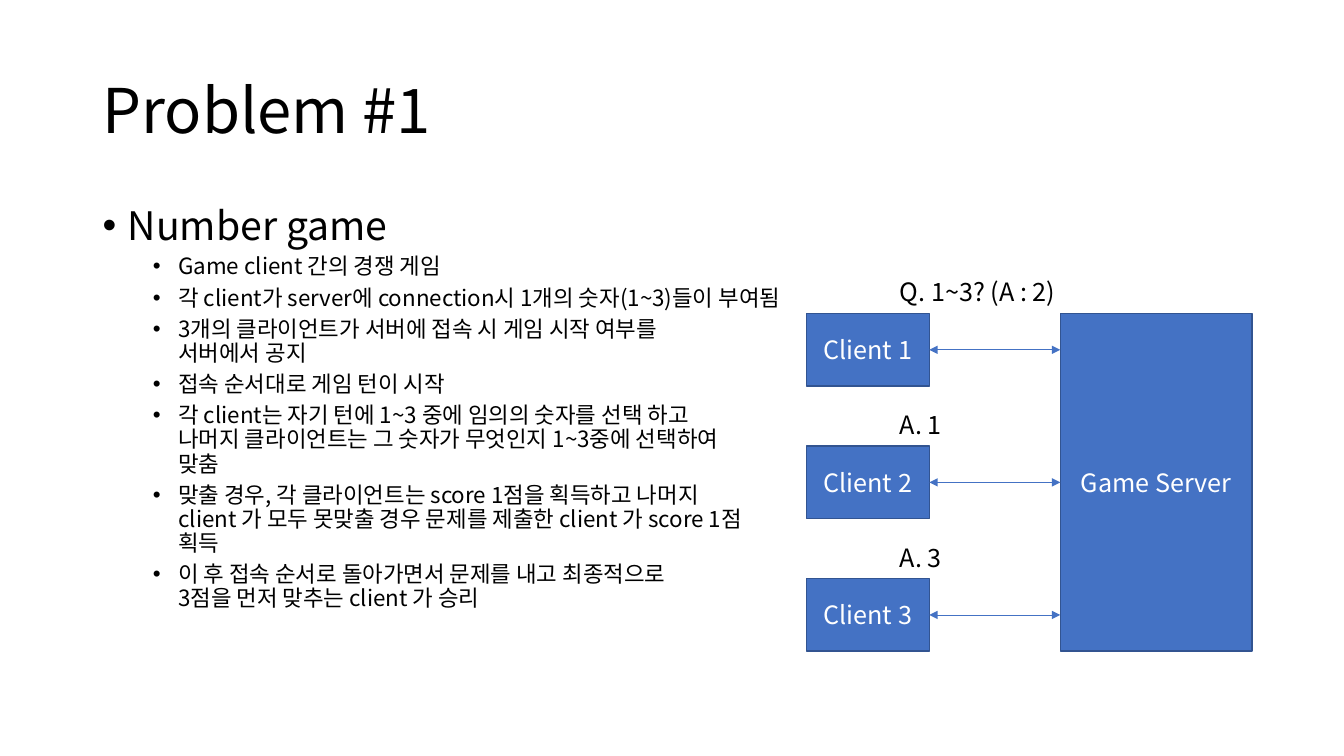
from copy import deepcopy

from lxml.etree import SubElement
from pptx import Presentation
from pptx.dml.color import RGBColor
from pptx.enum.shapes import MSO_CONNECTOR, MSO_SHAPE
from pptx.enum.text import MSO_ANCHOR, MSO_AUTO_SIZE, PP_ALIGN
from pptx.oxml.ns import qn
from pptx.util import Cm, Pt

TITLE = "Problem #1"
TOPIC = "Number game"
RULES = [
    "Game client 간의 경쟁 게임",
    "각 client가 server에 connection시 1개의 숫자(1~3)들이 부여됨",
    "3개의 클라이언트가 서버에 접속 시 게임 시작 여부를\n서버에서 공지",
    "접속 순서대로 게임 턴이 시작",
    "각 client는 자기 턴에 1~3 중에 임의의 숫자를 선택 하고\n"
    "나머지 클라이언트는 그 숫자가 무엇인지 1~3중에 선택하여\n맞춤",
    "맞출 경우, 각 클라이언트는 score 1점을 획득하고 나머지\n"
    "client 가 모두 못맞출 경우 문제를 제출한 client 가 score 1점\n획득",
    "이 후 접속 순서로 돌아가면서 문제를 내고 최종적으로\n3점을 먼저 맞추는 client 가 승리",
]
SERVER = "Game Server"
# client name, message, message box width in cm
CLIENTS = [
    ("Client 1", "Q. 1~3? (A : 2)", 4.78),
    ("Client 2", "A. 1", 1.65),
    ("Client 3", "A. 3", 1.65),
]

COLORS = {"text": "000000", "light": "FFFFFF", "box": "4472C4", "edge": "325491"}
FONT = "Noto Sans CJK KR"

# Diagram measures in cm
TOP, CLIENT_LEFT, SERVER_LEFT = 7.9, 20.32, 26.72
CLIENT_WIDTH, CLIENT_HEIGHT = 3.1, 1.83
SERVER_WIDTH, SERVER_HEIGHT = 4.83, 8.51
MESSAGE_LEFT, MESSAGE_RISE, MESSAGE_HEIGHT = 22.43, 1.05, 1.02
PITCH = (SERVER_HEIGHT - CLIENT_HEIGHT) / (len(CLIENTS) - 1)


def color(name):
    """Return the named colour."""
    return RGBColor.from_string(COLORS[name])


def apply(target, values):
    """Set every attribute in values on target."""
    for name, value in values.items():
        setattr(target, name, value)


def write(para, text, size, color_name="text", **values):
    """Write text, broken at newlines, and format its paragraph."""
    apply(para, values)
    for number, line in enumerate(text.split("\n")):
        if number:
            para.add_line_break()
        span = para.add_run()
        span.text = line
        apply(span.font, {"size": Pt(size), "name": FONT})
        span.font.color.rgb = color(color_name)
        properties = span.font._element
        SubElement(properties, qn("a:ea"), typeface=FONT)
    for line_break in para._p.findall(qn("a:br")):
        line_break.append(deepcopy(properties))


def add_bullet(para, left, hang):
    """Give a paragraph a round bullet with a hanging indent."""
    properties = para._p.get_or_add_pPr()
    properties.set("marL", str(Cm(left)))
    properties.set("indent", str(-Cm(hang)))
    SubElement(properties, qn("a:buFont"), typeface="Arial")
    SubElement(properties, qn("a:buChar"), char="•")


def place(box, left, top, width, height):
    """Move and size a placeholder, in cm."""
    apply(box, {"left": Cm(left), "top": Cm(top), "width": Cm(width), "height": Cm(height)})


def add_box(shapes, text, left, top, width, height):
    """Add a labelled rectangle."""
    box = shapes.add_shape(MSO_SHAPE.RECTANGLE, Cm(left), Cm(top), Cm(width), Cm(height))
    box.shadow.inherit = False
    box.fill.solid()
    box.fill.fore_color.rgb = color("box")
    box.line.color.rgb = color("edge")
    box.line.width = Pt(1)
    box.text_frame.vertical_anchor = MSO_ANCHOR.MIDDLE
    write(box.text_frame.paragraphs[0], text, 18, "light", alignment=PP_ALIGN.CENTER)


def add_link(shapes, start, end, height):
    """Add a level two-headed arrow."""
    link = shapes.add_connector(MSO_CONNECTOR.STRAIGHT, Cm(start), Cm(height), Cm(end), Cm(height))
    link.line.color.rgb = color("box")
    link.line.width = Pt(0.5)
    outline = link.line._get_or_add_ln()
    for tag in ("a:headEnd", "a:tailEnd"):
        SubElement(outline, qn(tag), type="triangle")
    SubElement(link._element.spPr, qn("a:effectLst"))


def add_message(shapes, text, top, width):
    """Add a one-line message above a client."""
    box = shapes.add_textbox(Cm(MESSAGE_LEFT), Cm(top), Cm(width), Cm(MESSAGE_HEIGHT))
    apply(box.text_frame, {"word_wrap": False, "auto_size": MSO_AUTO_SIZE.SHAPE_TO_FIT_TEXT})
    write(box.text_frame.paragraphs[0], text, 18)


deck = Presentation()
apply(deck, {"slide_width": Cm(33.87), "slide_height": Cm(19.05)})
page = deck.slides.add_slide(deck.slide_layouts[1])

title, body = page.shapes.title, page.placeholders[1]
place(title, 2.33, 1.01, 29.21, 3.68)
place(body, 2.33, 5.07, 29.21, 12.09)
for holder, anchor in ((title, MSO_ANCHOR.MIDDLE), (body, MSO_ANCHOR.TOP)):
    apply(holder.text_frame, {"word_wrap": True, "auto_size": MSO_AUTO_SIZE.NONE,
                              "vertical_anchor": anchor})
write(title.text_frame.paragraphs[0], TITLE, 44, alignment=PP_ALIGN.LEFT, line_spacing=0.9)

topic = body.text_frame.paragraphs[0]
write(topic, TOPIC, 28, line_spacing=0.9, space_before=Pt(10))
add_bullet(topic, 0.64, 0.64)
for rule in RULES:
    para = body.text_frame.add_paragraph()
    write(para, rule, 16, level=1, line_spacing=0.9, space_before=Pt(5))
    add_bullet(para, 1.91, 0.64)

diagram = page.shapes.add_group_shape().shapes
add_box(diagram, SERVER, SERVER_LEFT, TOP, SERVER_WIDTH, SERVER_HEIGHT)
for row, (client, message, message_width) in enumerate(CLIENTS):
    client_top = TOP + row * PITCH
    add_box(diagram, client, CLIENT_LEFT, client_top, CLIENT_WIDTH, CLIENT_HEIGHT)
    add_link(diagram, CLIENT_LEFT + CLIENT_WIDTH, SERVER_LEFT, client_top + CLIENT_HEIGHT / 2)
    add_message(page.shapes, message, client_top - MESSAGE_RISE, message_width)

deck.save("out.pptx")
